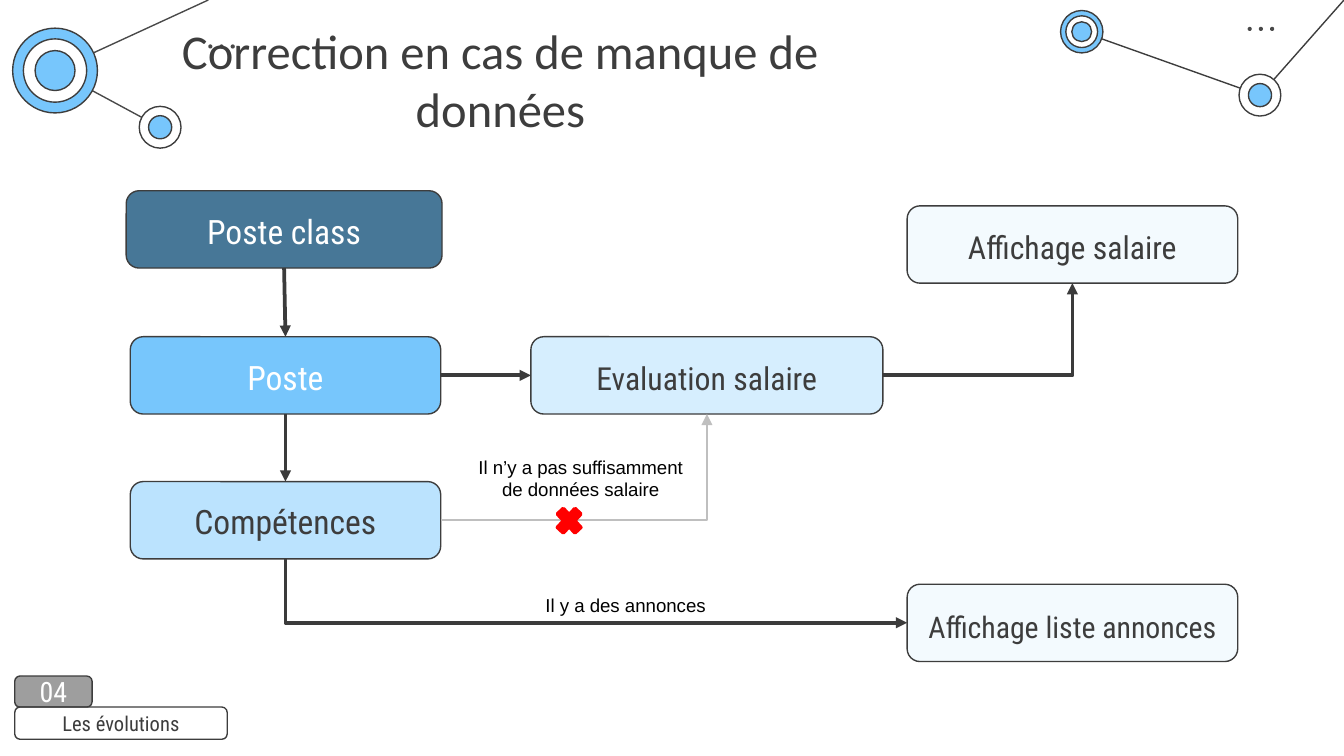
from lxml import etree
from pptx import Presentation
from pptx.dml.color import RGBColor
from pptx.enum.shapes import MSO_CONNECTOR, MSO_SHAPE
from pptx.enum.text import MSO_ANCHOR, PP_ALIGN
from pptx.oxml.ns import qn
from pptx.util import Pt

STRAIGHT, ELBOW = MSO_CONNECTOR.STRAIGHT, MSO_CONNECTOR.ELBOW
ROUNDED, OVAL, CROSS = MSO_SHAPE.ROUNDED_RECTANGLE, MSO_SHAPE.OVAL, MSO_SHAPE.MATH_MULTIPLY
TOP, MIDDLE, BOTTOM = MSO_ANCHOR.TOP, MSO_ANCHOR.MIDDLE, MSO_ANCHOR.BOTTOM
LEFT, CENTER = PP_ALIGN.LEFT, PP_ALIGN.CENTER

INK = RGBColor(0x3D, 0x3D, 0x3D)
ARROW = RGBColor(0x3B, 0x3B, 0x3B)
SOFT = RGBColor(0x49, 0x49, 0x49)
PALE_ARROW = RGBColor(0xBF, 0xBF, 0xBF)
GREY = RGBColor(0x9E, 0x9E, 0x9E)
WHITE = RGBColor(0xFF, 0xFF, 0xFF)
BLACK = RGBColor(0x00, 0x00, 0x00)
RED = RGBColor(0xFF, 0x00, 0x00)
STEEL = RGBColor(0x47, 0x77, 0x97)
SKY = RGBColor(0x77, 0xC6, 0xFC)
LIGHT = RGBColor(0xBB, 0xE3, 0xFE)
ICE = RGBColor(0xD6, 0xEE, 0xFE)

BOX_HEIGHT = 41.4
THIN, THICK = 0.75, 2


class FlowSlide:
    """Holds the style and the current slide, and draws each kind of element."""

    font = "Roboto Condensed"

    def __init__(self, page):
        self.page = page

    def set_text(self, shape, text, size, color, font, anchor, align, inset_y):
        frame = shape.text_frame
        frame.text = text
        frame.word_wrap = True
        frame.vertical_anchor = anchor
        frame.margin_left = frame.margin_right = Pt(7.2)
        frame.margin_top = frame.margin_bottom = Pt(inset_y)
        for para in frame.paragraphs:
            para.alignment = align
            for span in para.runs:
                span.font.size = Pt(size)
                span.font.name = font
                span.font.color.rgb = color

    def shape(self, kind, left, top, width, height, fill, line=INK, weight=THIN):
        shape = self.page.shapes.add_shape(kind, Pt(left), Pt(top), Pt(width), Pt(height))
        shape.shadow.inherit = False
        if fill is None:
            shape.fill.background()
        else:
            shape.fill.solid()
            shape.fill.fore_color.rgb = fill
        if line is None:
            shape.line.fill.background()
        else:
            shape.line.color.rgb = line
            shape.line.width = Pt(weight)
        return shape

    def box(self, text, left, top, width, fill, size, color=INK, height=BOX_HEIGHT,
            anchor=BOTTOM, inset_y=7.2, opacity=None):
        box = self.shape(ROUNDED, left, top, width, height, fill)
        if opacity:
            tint = box.element.spPr.find(qn("a:solidFill"))[0]
            etree.SubElement(tint, qn("a:alpha")).set("val", str(opacity * 1000))
        self.set_text(box, text, size, color, self.font, anchor, CENTER, inset_y)
        return box

    def text(self, text, left, top, width, height, size, color=BLACK, font="Arial",
             anchor=TOP, align=CENTER, inset_y=3.6):
        box = self.page.shapes.add_textbox(Pt(left), Pt(top), Pt(width), Pt(height))
        self.set_text(box, text, size, color, font, anchor, align, inset_y)

    def rings(self, x, y, *discs):
        for size, fill in discs:
            self.shape(OVAL, x - size / 2, y - size / 2, size, size, fill)

    def dots(self, left, top):
        for index in range(3):
            self.shape(OVAL, left + index * 6, top, 2.2, 2.2, SOFT, None)

    def line(self, start, end, color=INK, weight=THIN, kind=STRAIGHT, arrow=None):
        line = self.page.shapes.add_connector(kind, *start, *end)
        line.line.color.rgb = color
        line.line.width = Pt(weight)
        properties = line.element.spPr
        if kind == ELBOW:
            properties.find(qn("a:prstGeom")).set("prst", "bentConnector2")
        if arrow:
            stroke = properties.find(qn("a:ln"))
            etree.SubElement(stroke, qn(arrow)).set("type", "triangle")
        etree.SubElement(properties, qn("a:effectLst"))


def point(x, y):
    return Pt(x), Pt(y)


def side(box, across, down):
    return int(box.left + box.width * across), int(box.top + box.height * down)


def draw_corners(slide):
    hub = point(29.5, 37.8)
    for end in (point(85.8, 68.2), point(111.6, 0)):
        slide.line(hub, end, SOFT)
    for end in (point(579.5, 17), point(720, 0)):
        slide.line(point(675, 51), end)
    slide.rings(29.5, 37.8, (45.4, SKY), (33.9, WHITE), (21.4, SKY))
    slide.rings(579.5, 17, (22.7, SKY), (17, WHITE), (10.6, SKY))
    for x, y in ((85.8, 68.2), (675, 51)):
        slide.rings(x, y, (22.4, WHITE), (12.4, SKY))
    for left, top in ((111.6, 23.8), (668.4, 14.4)):
        slide.dots(left, top)


def draw_flow(slide):
    post_class = slide.box("Poste class", 67.6, 102.2, 169.2, STEEL, 18, WHITE)
    post = slide.box("Poste", 69.8, 180.4, 166.3, SKY, 18, WHITE)
    skills = slide.box("Compétences", 69.8, 258, 166.3, LIGHT, 18)
    estimate = slide.box("Evaluation salaire", 284.4, 180.4, 188.6, ICE, 17)
    salary = slide.box("Affichage salaire", 486, 110.3, 177.1, ICE, 17, opacity=28)
    offers = slide.box("Affichage liste annonces", 486, 313, 177.1, ICE, 16, opacity=28)

    for upper, lower in ((post_class, post), (post, skills)):
        slide.line(side(upper, 0.5, 1), side(lower, 0.5, 0), ARROW, THICK, arrow="a:tailEnd")
    slide.line(side(post, 1, 0.5), side(estimate, 0, 0.5), ARROW, THICK, arrow="a:tailEnd")
    slide.line(side(estimate, 1, 0.5), side(salary, 0.5, 1), ARROW, THICK, ELBOW, "a:tailEnd")
    slide.line(side(skills, 1, 0.5), side(estimate, 0.5, 1), PALE_ARROW, THIN, ELBOW, "a:tailEnd")
    slide.line(side(offers, 0, 0.5), side(skills, 0.5, 1), ARROW, THICK, ELBOW, "a:headEnd")

    slide.text("Il n’y a pas suffisamment\nde données salaire", 248.4, 240.5, 125.3, 31.5, 10)
    slide.shape(CROSS, 295.9, 269.3, 18, 19.4, RED, RED, THICK)
    slide.text("Il y a des annonces", 285.1, 314.6, 100.8, 19.4, 10, align=LEFT)


def main():
    deck = Presentation()
    deck.slide_width, deck.slide_height = Pt(720), Pt(405)
    slide = FlowSlide(deck.slides.add_slide(deck.slide_layouts[6]))
    draw_corners(slide)
    draw_flow(slide)
    slide.box("04", 7.9, 362.2, 41.4, GREY, 15, WHITE, 16.6, MIDDLE)
    slide.box("Les évolutions", 7.9, 378.8, 113.8, None, 11, INK, 17.3, MIDDLE, 0)
    slide.text("Correction en cas de manque de données", 53.3, 23.8, 429.8, 37.4, 26,
               INK, "Calibri", MIDDLE, inset_y=7.2)
    deck.save("out.pptx")


if __name__ == "__main__":
    main()
